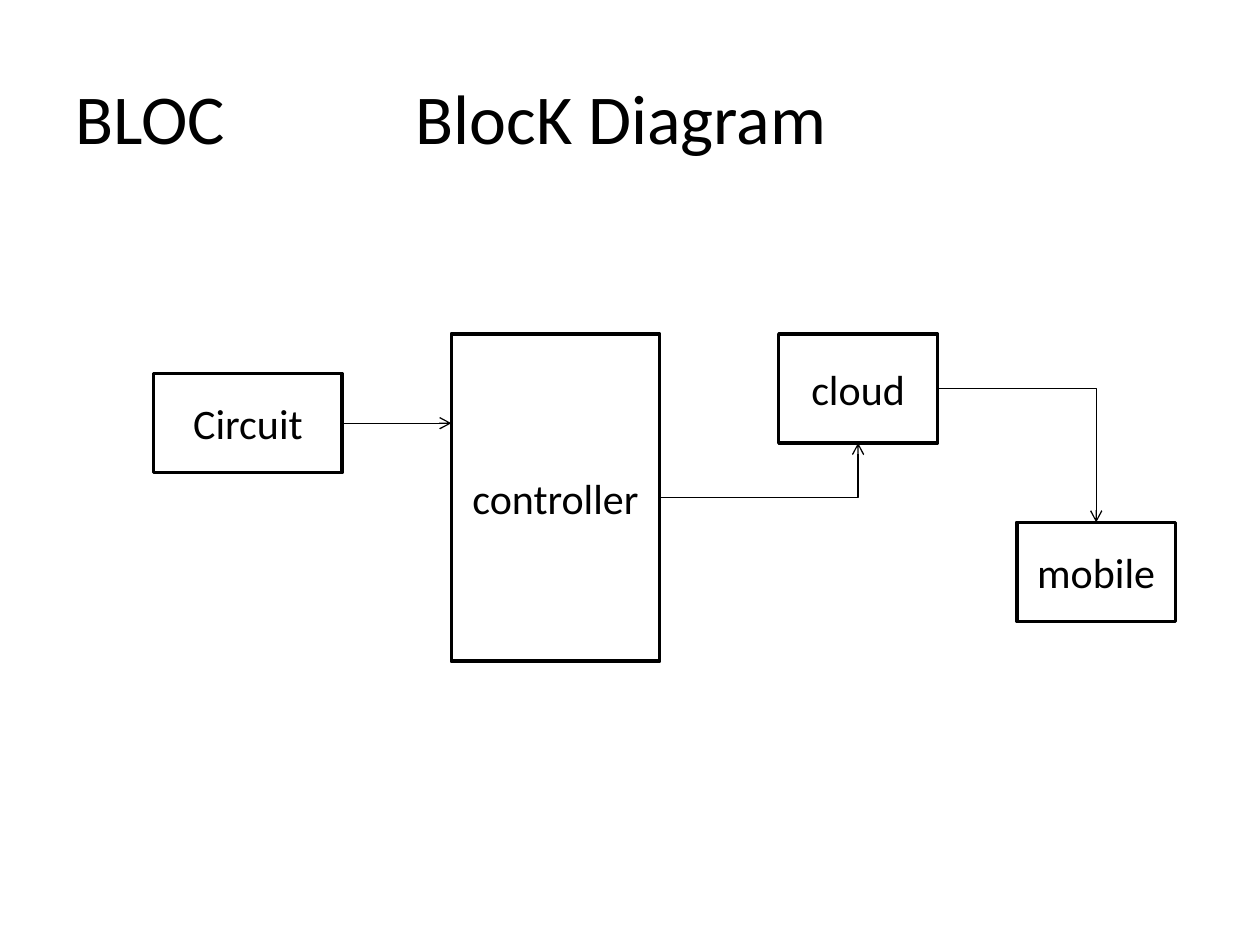
from lxml import etree
from pptx import Presentation
from pptx import util as u
from pptx.dml.color import RGBColor
from pptx.enum import shapes, text
from pptx.oxml.ns import qn

BLACK = RGBColor(0x00, 0x00, 0x00)
WHITE = RGBColor(0xFF, 0xFF, 0xFF)
FONT = {"name": "Calibri", "bold": False}
CELL = u.Mm(2)
LEFT, TOP = u.Inches(1.22), u.Inches(2.65)

prs = Presentation()
prs.slide_width, prs.slide_height = u.Inches(10), u.Inches(7.5)
s = prs.slides.add_slide(prs.slide_layouts[5])


def write(tf, words, size, align):
    tf.word_wrap = True
    tf.vertical_anchor = text.MSO_ANCHOR.MIDDLE
    p = tf.paragraphs[0]
    p.alignment = align
    r = p.add_run()
    r.text = words
    for key, value in {**FONT, "size": u.Pt(size)}.items():
        setattr(r.font, key, value)
    r.font.color.rgb = BLACK
    return p


title = s.shapes.title
title.left, title.top = int(prs.slide_width * 0.05), int(prs.slide_height * 0.04)
title.width, title.height = int(prs.slide_width * 0.9), u.Inches(1.25)
p = write(title.text_frame, "BLOC\tBlocK Diagram", 40, text.PP_ALIGN.LEFT)
tabs = etree.SubElement(p._p.get_or_add_pPr(), qn("a:tabLst"))
etree.SubElement(tabs, qn("a:tab"), pos=str(u.Inches(2.7)), algn="l")

blocks = {
    "Circuit": (0, 4, 19, 10),
    "controller": (30, 0, 21, 33),
    "cloud": (63, 0, 16, 11),
    "mobile": (87, 19, 16, 10),
}
boxes = {}
for name, (col, row, cols, rows) in blocks.items():
    sp = s.shapes.add_shape(
        shapes.MSO_SHAPE.RECTANGLE,
        LEFT + col * CELL, TOP + row * CELL, cols * CELL, rows * CELL)
    sp.shadow.inherit = False
    sp.fill.solid()
    sp.fill.fore_color.rgb = WHITE
    sp.line.color.rgb = BLACK
    sp.line.width = u.Pt(2)
    write(sp.text_frame, name, 24, text.PP_ALIGN.CENTER)
    boxes[name] = sp

STRAIGHT, ELBOW = shapes.MSO_CONNECTOR.STRAIGHT, shapes.MSO_CONNECTOR.ELBOW
arrows = [
    (STRAIGHT, "Circuit", (19, 9), (30, 9), None),
    (ELBOW, "controller", (51, 16.5), (71, 11), ("cloud", 2)),
    (ELBOW, "cloud", (79, 5.5), (95, 19), ("mobile", 0)),
]
for kind, source, (x1, y1), (x2, y2), target in arrows:
    c = s.shapes.add_connector(
        kind, int(LEFT + x1 * CELL), int(TOP + y1 * CELL),
        int(LEFT + x2 * CELL), int(TOP + y2 * CELL))
    c.begin_connect(boxes[source], 3)
    if target:
        c.end_connect(boxes[target[0]], target[1])
    if kind == ELBOW:
        c._element.spPr.find(qn("a:prstGeom")).set("prst", "bentConnector2")
    c.line.color.rgb = BLACK
    c.line.width = u.Pt(0.75)
    etree.SubElement(c.line._get_or_add_ln(), qn("a:tailEnd"), type="arrow")
    etree.SubElement(c._element.spPr, qn("a:effectLst"))

prs.save("out.pptx")
